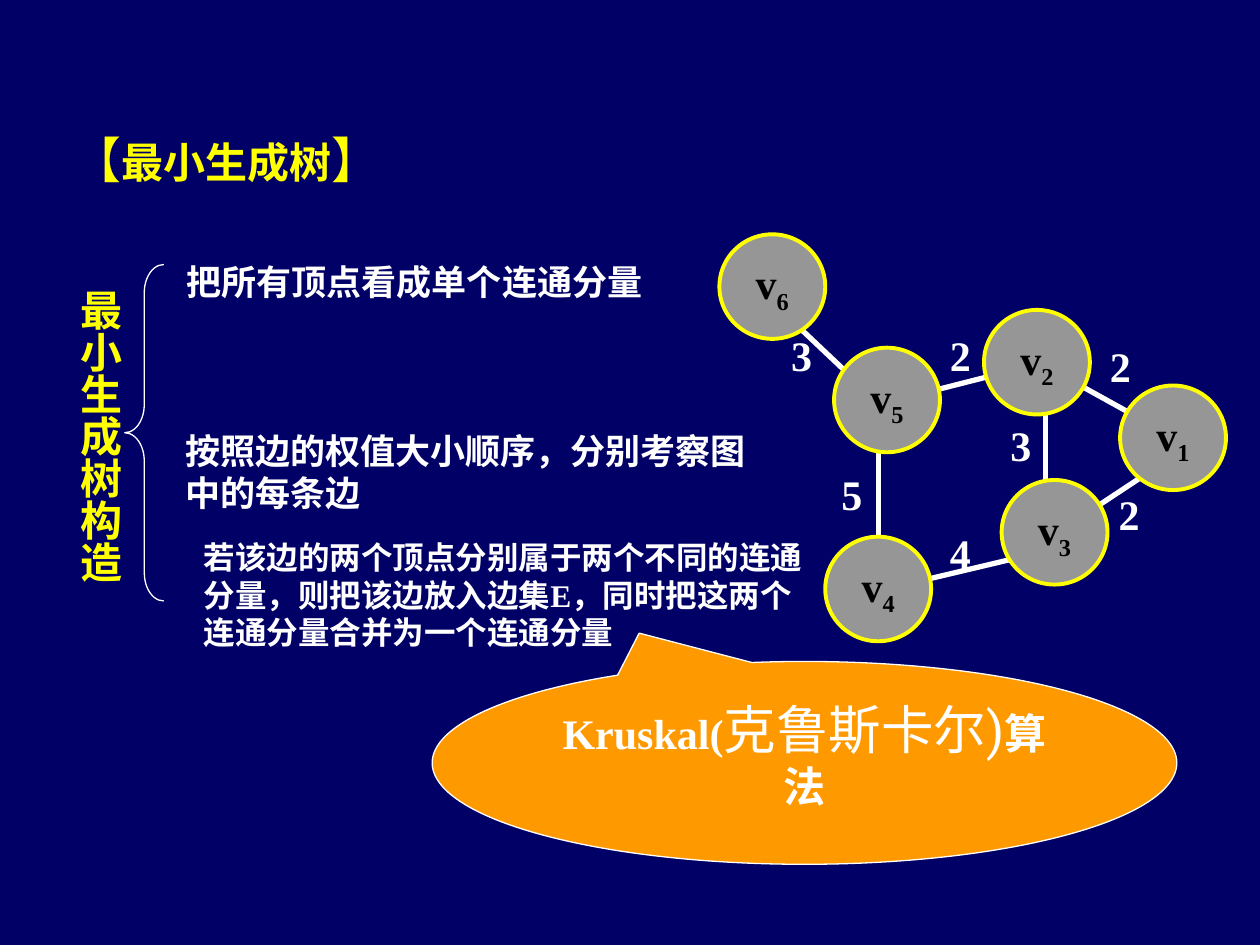
from lxml.etree import SubElement
from pptx import Presentation
from pptx.dml.color import RGBColor
from pptx.enum.shapes import MSO_CONNECTOR, MSO_SHAPE
from pptx.enum.text import MSO_ANCHOR, MSO_AUTO_SIZE, PP_ALIGN
from pptx.oxml.ns import qn
from pptx.util import Emu, Pt

EMU_PER_PX = 9144
WHITE, YELLOW, BLACK = "FFFFFF", "FFFF00", "000000"
NAVY, GRAY, ORANGE = "000066", "969696", "FF9900"


def px(length):
    return Emu(length * EMU_PER_PX)


def color(value):
    return RGBColor.from_string(value)


class SlideBuilder:
    font = "Times New Roman"
    node_size = (84, 83)
    label_size = (36, 50)

    def __init__(self, slide, background):
        self.slide = slide
        self.shapes = slide.shapes
        slide.background.fill.solid()
        slide.background.fill.fore_color.rgb = color(background)

    def start_group(self):
        self.shapes = self.slide.shapes.add_group_shape().shapes

    def end_group(self):
        self.shapes = self.slide.shapes

    def run(self, paragraph, text, size, text_color, bold=True, font=None, baseline=0):
        run = paragraph.add_run()
        run.text = text
        run.font.name = font or self.font
        run.font.size = Pt(size)
        run.font.bold = bold
        run.font.color.rgb = color(text_color)
        if baseline:
            run.font._element.set("baseline", str(baseline))

    def text(self, box, lines, size, text_color=WHITE, align=PP_ALIGN.LEFT, wrap=False, vertical=False):
        shape = self.shapes.add_textbox(*map(px, box))
        frame = shape.text_frame
        frame.word_wrap = wrap
        frame.auto_size = MSO_AUTO_SIZE.SHAPE_TO_FIT_TEXT
        if vertical:
            frame.margin_left = frame.margin_right = px(5)
            frame.margin_top = frame.margin_bottom = px(10)
            shape.element.txBody.bodyPr.set("vert", "eaVert")
        for index, line in enumerate(lines):
            paragraph = frame.add_paragraph() if index else frame.paragraphs[0]
            paragraph.alignment = align
            self.run(paragraph, line, size, text_color)
        return shape

    def title(self, box, text):
        paragraph = self.text(box, [], 28, wrap=True).text_frame.paragraphs[0]
        self.run(paragraph, "【", 28, YELLOW, bold=False)
        self.run(paragraph, text, 24, YELLOW)
        self.run(paragraph, "】", 28, YELLOW, bold=False)

    def shape(self, kind, box, fill, line, width):
        shape = self.shapes.add_shape(kind, *map(px, box))
        shape.shadow.inherit = False
        if fill:
            shape.fill.solid()
            shape.fill.fore_color.rgb = color(fill)
        else:
            shape.fill.background()
        shape.line.color.rgb = color(line)
        shape.line.width = Pt(width)
        return shape

    def brace(self, box, curve):
        shape = self.shape(MSO_SHAPE.LEFT_BRACE, box, None, WHITE, 0.75)
        shape.adjustments[0] = curve

    def edge(self, start, end):
        connector = self.shapes.add_connector(MSO_CONNECTOR.STRAIGHT, *map(px, start + end))
        connector.line.color.rgb = color(WHITE)
        connector.line.width = Pt(3)
        SubElement(connector.element.spPr, qn("a:effectLst"))

    def node(self, number, position):
        shape = self.shape(MSO_SHAPE.OVAL, position + self.node_size, GRAY, YELLOW, 2.25)
        frame = shape.text_frame
        frame.word_wrap = False
        frame.vertical_anchor = MSO_ANCHOR.MIDDLE
        paragraph = frame.paragraphs[0]
        paragraph.alignment = PP_ALIGN.CENTER
        self.run(paragraph, "v", 24, BLACK)
        self.run(paragraph, str(number), 24, BLACK, baseline=-25000)

    def weight(self, value, position):
        self.text(position + self.label_size, [str(value)], 24, align=PP_ALIGN.CENTER)

    def callout(self, box, tip):
        shape = self.shape(MSO_SHAPE.OVAL_CALLOUT, box, ORANGE, WHITE, 0.75)
        shape.adjustments[0], shape.adjustments[1] = tip
        frame = shape.text_frame
        frame.word_wrap = True
        frame.vertical_anchor = MSO_ANCHOR.TOP
        paragraph = frame.paragraphs[0]
        paragraph.alignment = PP_ALIGN.CENTER
        self.run(paragraph, "Kruskal(", 24, WHITE)
        self.run(paragraph, "克鲁斯卡尔)", 30, WHITE, bold=False, font="Roboto")
        self.run(paragraph, "算法", 24, WHITE)


def main():
    presentation = Presentation()
    presentation.slide_width, presentation.slide_height = px(1000), px(750)
    slide = presentation.slides.add_slide(presentation.slide_layouts[6])
    builder = SlideBuilder(slide, NAVY)

    builder.title((48, 98, 593, 57), "最小生成树")
    builder.brace((99, 210, 31, 267), 0.72)
    builder.text((138, 202, 382, 44), ["把所有顶点看成单个连通分量"], 20, align=PP_ALIGN.CENTER)
    builder.text((137, 336, 465, 77), ["按照边的权值大小顺序，分别考察图", "中的每条边"], 20)
    builder.text(
        (152, 422, 504, 100),
        [
            "若该边的两个顶点分别属于两个不同的连通",
            "分量，则把该边放入边集E，同时把这两个",
            "连通分量合并为一个连通分量",
        ],
        18,
    )
    builder.text((44, 220, 60, 244), ["最小生成树构造"], 24, YELLOW, PP_ALIGN.CENTER, vertical=True)

    edges = [
        ((830, 314), (830, 396), 3, (792, 328)),
        ((697, 344), (697, 441), 5, (658, 367)),
        ((899, 329), (843, 298), 2, (871, 265)),
        ((913, 374), (857, 411), 2, (878, 383)),
        ((815, 441), (718, 464), 4, (744, 414)),
        ((788, 298), (725, 314), 2, (744, 257)),
        ((683, 306), (627, 253), 3, (618, 257)),
    ]
    nodes = {
        1: (889, 306),
        2: (781, 246),
        3: (795, 381),
        6: (571, 186),
        5: (662, 276),
        4: (655, 426),
    }
    builder.start_group()
    for start, end, _, _ in edges:
        builder.edge(start, end)
    for number, position in nodes.items():
        builder.node(number, position)
    for _, _, value, position in edges:
        builder.weight(value, position)
    builder.end_group()

    builder.callout((343, 525, 591, 161), (-0.222, -0.64))
    presentation.save("out.pptx")


if __name__ == "__main__":
    main()
